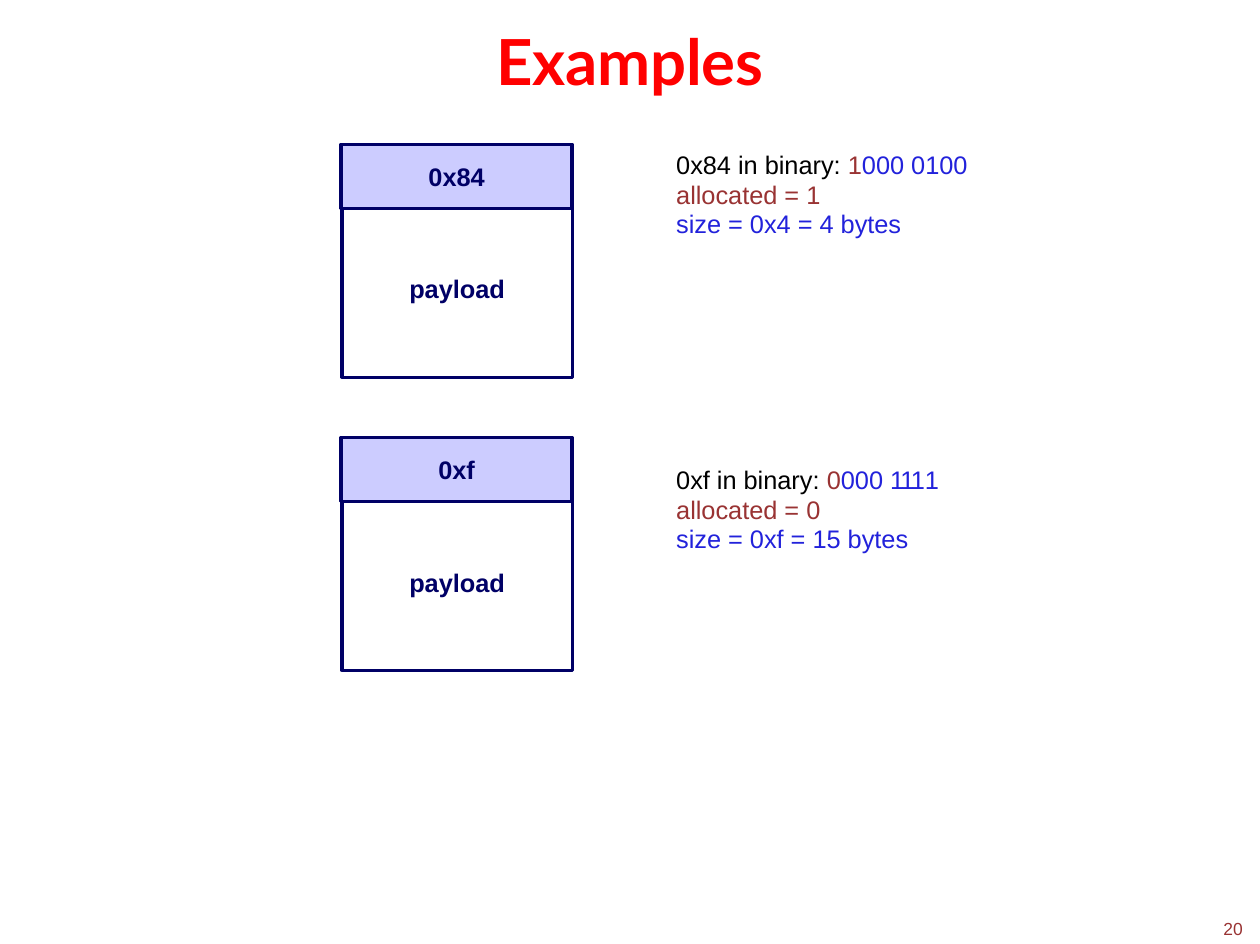
from dataclasses import dataclass

from pptx import Presentation
from pptx.dml.color import RGBColor
from pptx.enum.shapes import MSO_SHAPE
from pptx.enum.text import MSO_ANCHOR, MSO_AUTO_SIZE, PP_ALIGN
from pptx.util import Inches, Pt

RECT = MSO_SHAPE.RECTANGLE
TOP, MIDDLE = MSO_ANCHOR.TOP, MSO_ANCHOR.MIDDLE
LEFT, CENTER = PP_ALIGN.LEFT, PP_ALIGN.CENTER
NO_AUTOFIT = MSO_AUTO_SIZE.NONE

COLORS = {
    "title": "FF0000",
    "navy": "000066",
    "header": "CCCCFF",
    "text": "000000",
    "allocated": "993333",
    "size": "2222DB",
}
EMU_PER_PX = Inches(1) / 114.2
TITLE_ONLY = 5


@dataclass(frozen=True)
class Run:
    text: str
    color: str
    spacing: float = 0


@dataclass(frozen=True)
class Block:
    top: int
    note_top: int
    header: str
    bits: tuple[Run, ...]
    allocated: str
    size: str


BLOCKS = (
    Block(144, 150, "0x84",
          (Run("1", "allocated"), Run("000 0100", "size")),
          "allocated = 1", "size = 0x4 = 4 bytes"),
    Block(437, 465, "0xf",
          (Run("0", "allocated"), Run("000 ", "size"),
           Run("111", "size", -1.2), Run("1", "size")),
          "allocated = 0", "size = 0xf = 15 bytes"),
)


def px(value: int) -> int:
    return round(value * EMU_PER_PX)


def rgb(name: str) -> RGBColor:
    return RGBColor.from_string(COLORS[name])


def write(sp, lines, *, size=16, font="Arial", bold=False, align=LEFT,
          anchor=TOP, line_pt=None) -> None:
    tf = sp.text_frame
    tf.word_wrap = True
    tf.auto_size = NO_AUTOFIT
    tf.vertical_anchor = anchor
    tf.margin_left = tf.margin_top = tf.margin_right = tf.margin_bottom = 0
    for i, line in enumerate(lines):
        p = tf.add_paragraph() if i else tf.paragraphs[0]
        p.alignment = align
        if line_pt:
            p.line_spacing = Pt(line_pt)
        for run in line:
            r = p.add_run()
            r.text = run.text
            r.font.name, r.font.size, r.font.bold = font, Pt(size), bold
            r.font.color.rgb = rgb(run.color)
            if run.spacing:
                r.font._element.set("spc", str(round(run.spacing * 100)))


def add_text(s, x: int, y: int, w: int, h: int, lines, **fmt) -> None:
    write(s.shapes.add_textbox(px(x), px(y), px(w), px(h)), lines, **fmt)


def add_box(s, x: int, y: int, w: int, h: int, text: str, fill=None) -> None:
    sp = s.shapes.add_shape(RECT, px(x), px(y), px(w), px(h))
    sp.shadow.inherit = False
    if fill:
        sp.fill.solid()
        sp.fill.fore_color.rgb = rgb(fill)
    else:
        sp.fill.background()
    sp.line.color.rgb = rgb("navy")
    sp.line.width = Pt(2)
    write(sp, [[Run(text, "navy")]], bold=True, align=CENTER, anchor=MIDDLE)


def add_block(s, block: Block) -> None:
    add_box(s, 342, block.top + 56, 230, 177, "payload")
    add_box(s, 341, block.top, 231, 64, block.header, fill="header")
    lines = [
        [Run(f"{block.header} in binary: ", "text"), *block.bits],
        [Run(block.allocated, "allocated")],
        [Run(block.size, "size")],
    ]
    add_text(s, 676, block.note_top, 300, 87, lines, line_pt=18.6)


prs = Presentation()
prs.slide_width, prs.slide_height = Inches(11.03), Inches(8.26)
s = prs.slides.add_slide(prs.slide_layouts[TITLE_ONLY])

title = s.shapes.title
title.left, title.top, title.width, title.height = map(px, (489, 22, 281, 66))
write(title, [[Run("Examples", "title", -0.1)]], size=40, font="Lato",
      bold=True, align=CENTER)

for block in BLOCKS:
    add_block(s, block)

add_text(s, 1223, 917, 26, 20, [[Run("20", "allocated")]], size=11)

prs.save("out.pptx")
